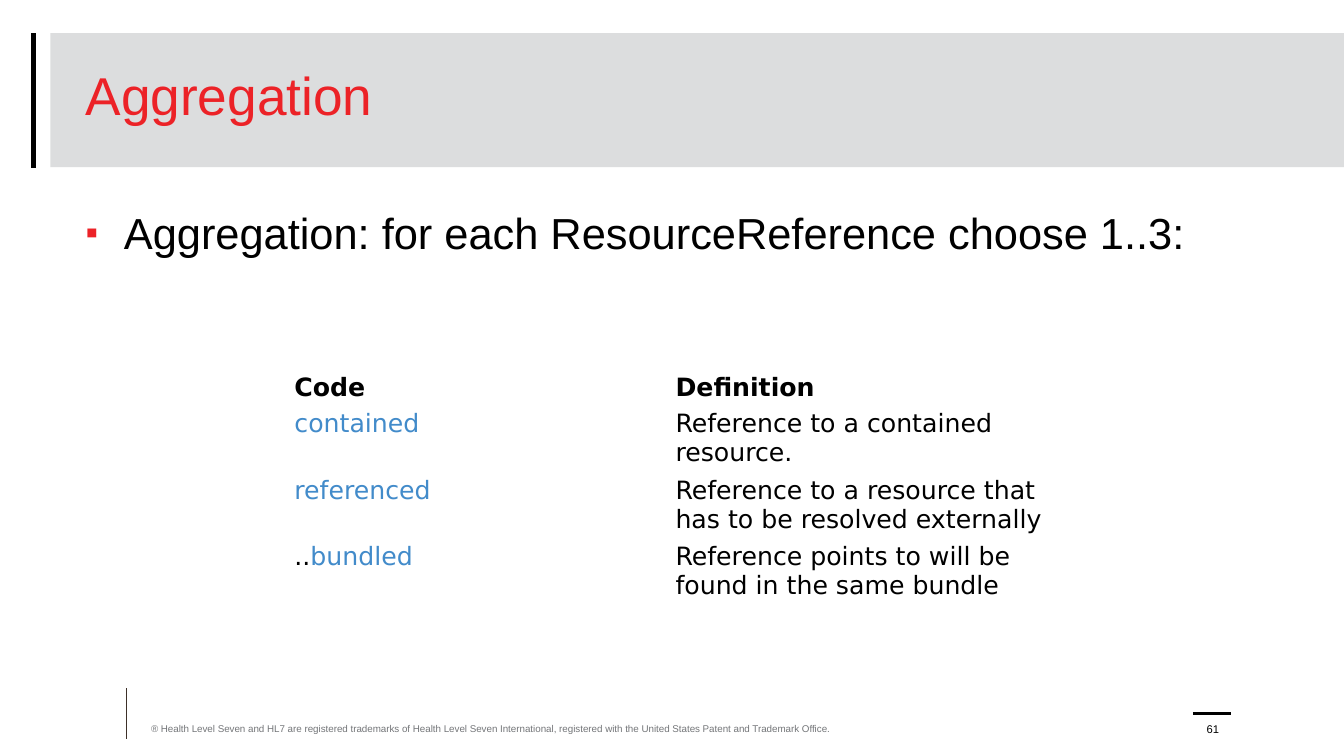
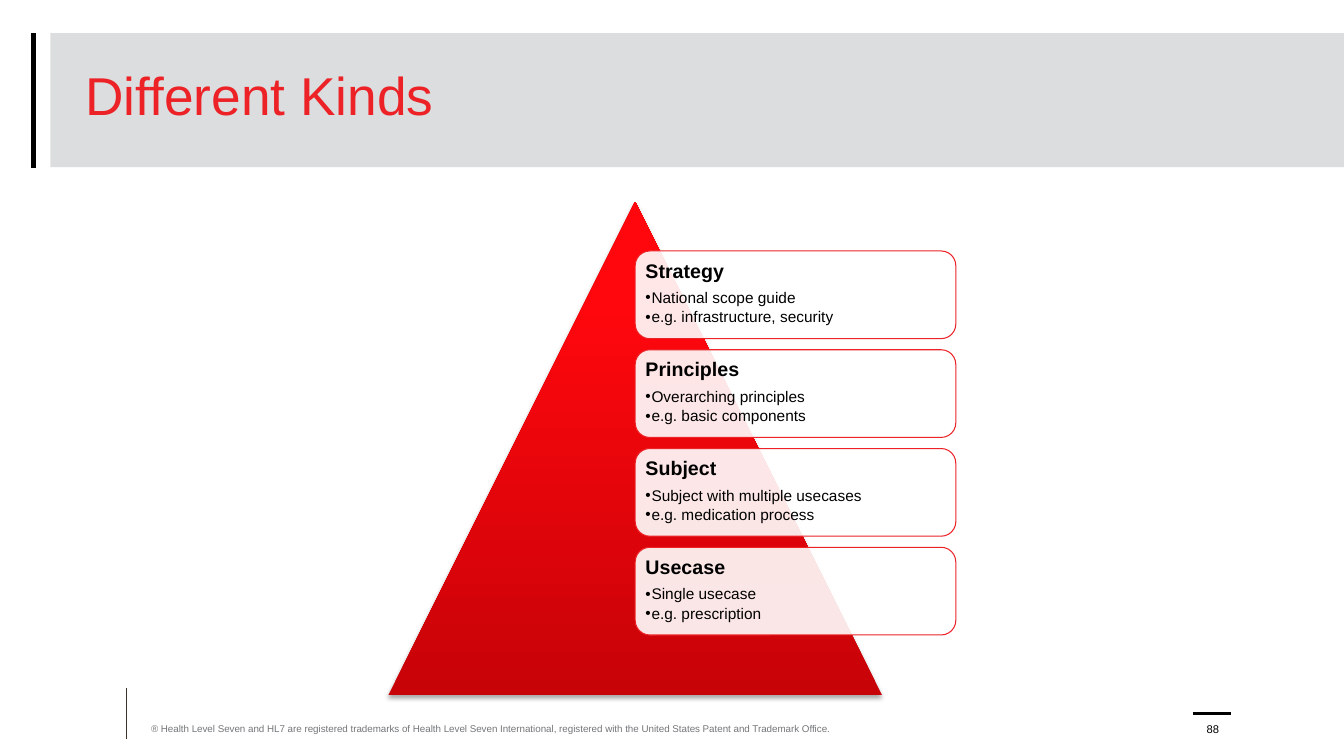
from dataclasses import dataclass
from typing import Optional

import lxml.etree
import pptx
import pptx.dml.color
import pptx.enum.shapes
import pptx.enum.text
import pptx.oxml.ns
import pptx.util

Inches = pptx.util.Inches
Pt = pptx.util.Pt
RGBColor = pptx.dml.color.RGBColor
MSO_SHAPE = pptx.enum.shapes.MSO_SHAPE
MSO_ANCHOR = pptx.enum.text.MSO_ANCHOR
PP_ALIGN = pptx.enum.text.PP_ALIGN
qn = pptx.oxml.ns.qn

RED = RGBColor(0xEC, 0x22, 0x27)
BLACK = RGBColor(0, 0, 0)
WHITE = RGBColor(0xFF, 0xFF, 0xFF)
BAND_GRAY = RGBColor(0xBA, 0xBC, 0xBE)
FOOTER_GRAY = RGBColor(0x74, 0x76, 0x79)
BROWN = RGBColor(0x3D, 0x30, 0x29)
CODE_BLUE = RGBColor(0x42, 0x8B, 0xCA)
PYRAMID_STOPS = (
    (0, RGBColor(0xC7, 0x03, 0x08)),
    (80, RGBColor(0xFF, 0x07, 0x0D)),
    (100, RGBColor(0xFF, 0x08, 0x0E)),
)
BODY_FONT = "Arial"
TABLE_FONT = "DejaVu Sans"
TRADEMARK = (
    "® Health Level Seven and HL7 are registered trademarks of Health Level Seven "
    "International, registered with the United States Patent and Trademark Office."
)


@dataclass(frozen=True)
class Box:
    left: float
    top: float
    width: float
    height: float

    def lengths(self) -> tuple:
        return tuple(Inches(v) for v in (self.left, self.top, self.width, self.height))


@dataclass(frozen=True)
class Rule:
    start: tuple[float, float]
    end: tuple[float, float]
    color: RGBColor
    width: float


@dataclass(frozen=True)
class TextStyle:
    size: float
    color: RGBColor = BLACK
    bold: bool = False
    font: str = BODY_FONT


@dataclass(frozen=True)
class CodeRow:
    code: str
    definition: str
    prefix: str = ""


@dataclass(frozen=True)
class Level:
    heading: str
    points: tuple[str, ...]


FOOTER_RULE = Rule((1.25, 6.83), (1.25, 7.33), BROWN, 0.5)
TITLE_RULE = Rule((0.33, 0.33), (0.33, 1.67), BLACK, 3.25)
NUMBER_RULE = Rule((11.83, 7.08), (12.21, 7.08), BLACK, 2)

TITLE_STYLE = TextStyle(38, RED)
BODY_STYLE = TextStyle(31)
FOOTER_STYLE = TextStyle(7, FOOTER_GRAY)
NUMBER_STYLE = TextStyle(8)
HEADER_STYLE = TextStyle(18, bold=True, font=TABLE_FONT)
CELL_STYLE = TextStyle(18, font=TABLE_FONT)
CODE_STYLE = TextStyle(18, CODE_BLUE, font=TABLE_FONT)
LEVEL_STYLE = TextStyle(14, bold=True)
POINT_STYLE = TextStyle(11)

CODE_ROWS = (
    CodeRow("contained", "Reference to a contained resource."),
    CodeRow("referenced", "Reference to a resource that has to be resolved externally"),
    CodeRow("bundled", "Reference points to will be found in the same bundle", ".."),
)
LEVELS = (
    Level("Strategy", ("National scope guide", "e.g. infrastructure, security")),
    Level("Principles", ("Overarching principles", "e.g. basic components")),
    Level("Subject", ("Subject with multiple usecases", "e.g. medication process")),
    Level("Usecase", ("Single usecase", "e.g. prescription")),
)
LEVEL_BOX = Box(6.3, 2.49, 3.18, 0.87)
LEVEL_PITCH = 0.98


def add_run(paragraph, text: str, style: TextStyle) -> None:
    run = paragraph.add_run()
    run.text = text
    run.font.name = style.font
    run.font.size = Pt(style.size)
    run.font.bold = style.bold
    run.font.color.rgb = style.color


def add_child(parent, tag: str, **attributes):
    return lxml.etree.SubElement(parent, qn(tag), attributes)


def set_bullet(paragraph, character: str, indent: float,
               color: Optional[RGBColor] = None, percent: int = 100) -> None:
    properties = paragraph._p.get_or_add_pPr()
    properties.set("marL", str(Inches(indent)))
    properties.set("indent", str(-Inches(indent)))
    if color is not None:
        add_child(add_child(properties, "a:buClr"), "a:srgbClr", val=str(color))
    add_child(properties, "a:buSzPct", val=str(percent * 1000))
    add_child(properties, "a:buFont", typeface=BODY_FONT)
    add_child(properties, "a:buChar", char=character)


def fill_solid(shape, color: RGBColor, opacity: int) -> None:
    shape.fill.solid()
    shape.fill.fore_color.rgb = color
    color_element = shape._element.spPr.find(qn("a:solidFill"))[0]
    add_child(color_element, "a:alpha", val=str(opacity * 1000))


def add_shape(slide, kind, box: Box):
    shape = slide.shapes.add_shape(kind, *box.lengths())
    shape.shadow.inherit = False
    shape.line.fill.background()
    return shape


def add_rule(slide, rule: Rule) -> None:
    ends = [Inches(v) for v in rule.start + rule.end]
    connector = slide.shapes.add_connector(pptx.enum.shapes.MSO_CONNECTOR.STRAIGHT, *ends)
    connector.line.color.rgb = rule.color
    connector.line.width = Pt(rule.width)
    add_child(connector._element.spPr, "a:effectLst")


def add_text(slide, box: Box, text: str, style: TextStyle,
             anchor=MSO_ANCHOR.TOP, alignment=PP_ALIGN.LEFT):
    frame = slide.shapes.add_textbox(*box.lengths()).text_frame
    frame.word_wrap = True
    frame.vertical_anchor = anchor
    paragraph = frame.paragraphs[0]
    paragraph.alignment = alignment
    add_run(paragraph, text, style)
    return paragraph


def add_base_slide(presentation, title: str, number: int):
    slide = presentation.slides.add_slide(presentation.slide_layouts[6])
    add_rule(slide, FOOTER_RULE)
    band = add_shape(slide, MSO_SHAPE.RECTANGLE, Box(0.5, 0.33, 12.83, 1.33))
    fill_solid(band, BAND_GRAY, 50)
    add_rule(slide, TITLE_RULE)
    add_rule(slide, NUMBER_RULE)
    heading = add_text(slide, Box(0.75, 0.33, 11.89, 1.33), title, TITLE_STYLE,
                       MSO_ANCHOR.MIDDLE)
    heading.line_spacing = 0.8
    add_text(slide, Box(1.4, 7.08, 7.1, 0.26), TRADEMARK, FOOTER_STYLE, MSO_ANCHOR.BOTTOM)
    add_text(slide, Box(11.75, 7.08, 0.56, 0.27), str(number), NUMBER_STYLE,
             MSO_ANCHOR.BOTTOM, PP_ALIGN.CENTER)
    return slide


def fill_cell(cell, *runs: tuple[str, TextStyle]) -> None:
    cell.fill.solid()
    cell.fill.fore_color.rgb = WHITE
    cell.margin_left = cell.margin_right = Inches(0.03)
    cell.margin_top = cell.margin_bottom = Inches(0.03)
    for text, style in runs:
        if text:
            add_run(cell.text_frame.paragraphs[0], text, style)


def add_code_table(slide) -> None:
    box = Box(2.89, 3.67, 7.56, 2.28)
    table = slide.shapes.add_table(len(CODE_ROWS) + 1, 2, *box.lengths()).table
    table.first_row = False
    table.horz_banding = False
    for index, row in enumerate(table.rows):
        row.height = Inches(0.64 if index else 0.36)
    fill_cell(table.cell(0, 0), ("Code", HEADER_STYLE))
    fill_cell(table.cell(0, 1), ("Definition", HEADER_STYLE))
    for index, entry in enumerate(CODE_ROWS, start=1):
        fill_cell(table.cell(index, 0), (entry.prefix, CELL_STYLE), (entry.code, CODE_STYLE))
        fill_cell(table.cell(index, 1), (entry.definition, CELL_STYLE))


def add_pyramid(slide) -> None:
    pyramid = add_shape(slide, MSO_SHAPE.ISOSCELES_TRIANGLE, Box(3.85, 2, 4.9, 4.9))
    pyramid.fill.gradient()
    pyramid.fill.gradient_angle = 90
    properties = pyramid._element.spPr
    stops = properties.find(qn("a:gradFill")).find(qn("a:gsLst"))
    for stop in list(stops):
        stops.remove(stop)
    for position, color in PYRAMID_STOPS:
        stop = add_child(stops, "a:gs", pos=str(position * 1000))
        add_child(stop, "a:srgbClr", val=str(color))
    shadow = add_child(properties.find(qn("a:effectLst")), "a:outerShdw",
                       blurRad=str(Pt(3.1)), dist=str(Pt(1.8)), dir="5400000",
                       rotWithShape="0")
    shadow_color = add_child(shadow, "a:srgbClr", val=str(BLACK))
    add_child(shadow_color, "a:alpha", val="35000")


def add_level(slide, level: Level, top: float) -> None:
    box = Box(LEVEL_BOX.left, top, LEVEL_BOX.width, LEVEL_BOX.height)
    card = add_shape(slide, MSO_SHAPE.ROUNDED_RECTANGLE, box)
    fill_solid(card, WHITE, 90)
    card.line.color.rgb = RED
    card.line.width = Pt(0.75)
    frame = card.text_frame
    frame.word_wrap = True
    frame.vertical_anchor = MSO_ANCHOR.TOP
    frame.margin_left = frame.margin_right = Inches(0.06)
    frame.margin_top = frame.margin_bottom = Inches(0.06)
    heading = frame.paragraphs[0]
    add_run(heading, level.heading, LEVEL_STYLE)
    heading.space_after = Pt(5.5)
    for point in level.points:
        paragraph = frame.add_paragraph()
        paragraph.level = 1
        set_bullet(paragraph, "•", 0.06)
        paragraph.space_after = Pt(2)
        add_run(paragraph, point, POINT_STYLE)
    for paragraph in frame.paragraphs:
        paragraph.alignment = PP_ALIGN.LEFT
        paragraph.line_spacing = 0.9


def add_aggregation_slide(presentation) -> None:
    slide = add_base_slide(presentation, "Aggregation", 61)
    body = add_text(slide, Box(0.75, 2, 12.22, 4.17),
                    "Aggregation: for each ResourceReference choose 1..3:", BODY_STYLE)
    set_bullet(body, "▪", 0.38, RED, 82)
    add_code_table(slide)


def add_kinds_slide(presentation) -> None:
    slide = add_base_slide(presentation, "Different Kinds", 88)
    add_pyramid(slide)
    for index, level in enumerate(LEVELS):
        add_level(slide, level, LEVEL_BOX.top + index * LEVEL_PITCH)


def main() -> None:
    presentation = pptx.Presentation()
    presentation.slide_width = Inches(13.33)
    presentation.slide_height = Inches(7.5)
    add_aggregation_slide(presentation)
    add_kinds_slide(presentation)
    presentation.save("out.pptx")


if __name__ == "__main__":
    main()
